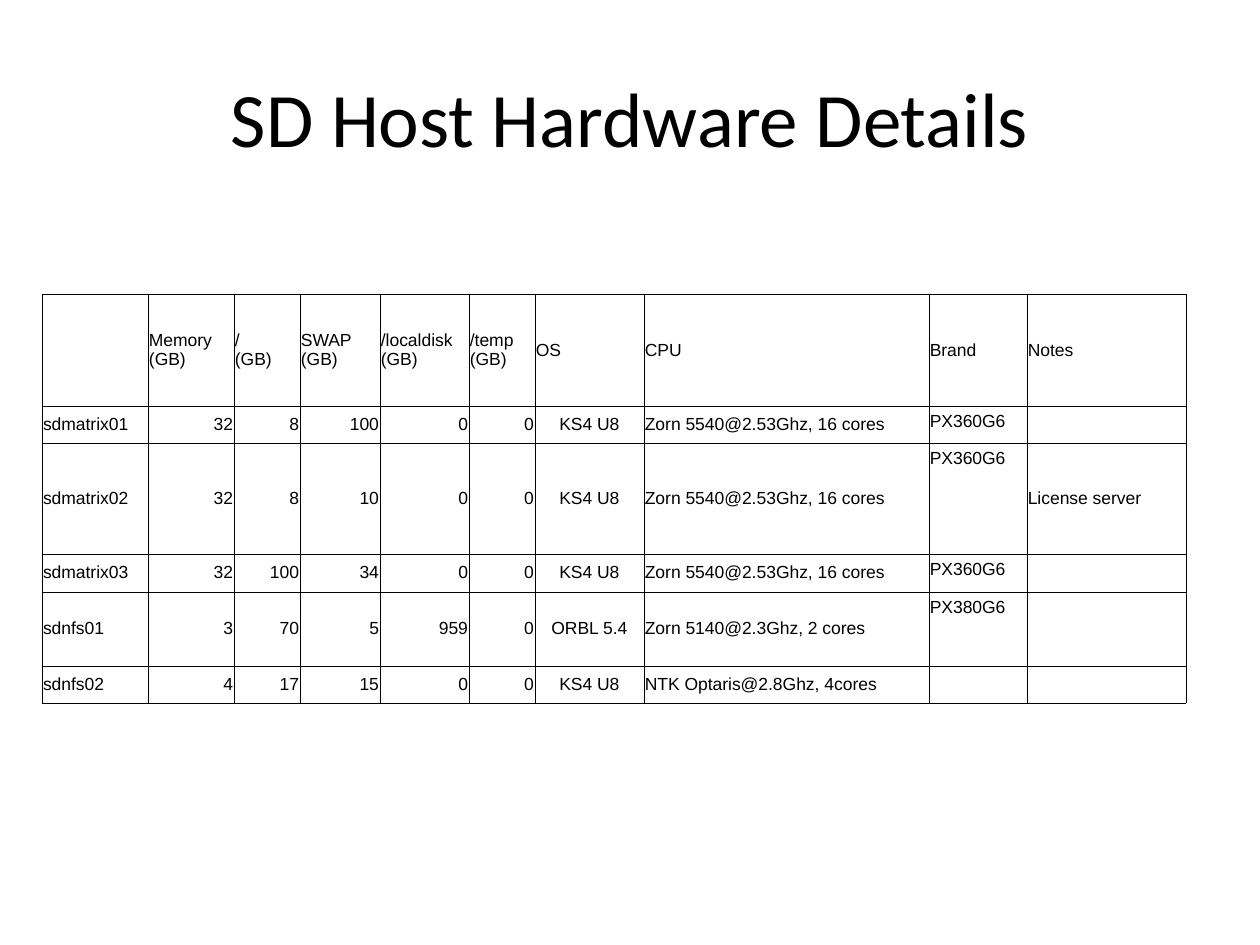
from dataclasses import dataclass
from typing import Any

from lxml.etree import SubElement
from pptx import Presentation
from pptx.dml.color import RGBColor
from pptx.enum.text import MSO_ANCHOR as Anchor, PP_ALIGN as Align
from pptx.oxml.ns import qn
from pptx.util import Emu, Pt

EMU_PER_PX = 914400 // 126
BLACK = "000000"
BORDER_WIDTH = Pt(0.23)


@dataclass(frozen=True)
class Column:
    heading: str
    width: int
    align: Align = Align.LEFT
    anchor: Anchor = Anchor.MIDDLE


@dataclass(frozen=True)
class Host:
    height: int
    values: tuple[str, ...]


COLUMNS = (
    Column("", 106),
    Column("Memory\n(GB)", 86, Align.RIGHT),
    Column("/\n(GB)", 66, Align.RIGHT),
    Column("SWAP\n(GB)", 80, Align.RIGHT),
    Column("/localdisk\n(GB)", 89, Align.RIGHT),
    Column("/temp\n(GB)", 66, Align.RIGHT),
    Column("OS", 109, Align.CENTER),
    Column("CPU", 285),
    Column("Brand", 98, anchor=Anchor.TOP),
    Column("Notes", 159),
)
HEADER_HEIGHT = 112
FAST_CPU = "Zorn 5540@2.53Ghz, 16 cores"
HOSTS = (
    Host(37, ("sdmatrix01", "32", "8", "100", "0", "0", "KS4 U8", FAST_CPU, "PX360G6", "")),
    Host(111, ("sdmatrix02", "32", "8", "10", "0", "0", "KS4 U8", FAST_CPU, "PX360G6",
               "License server")),
    Host(38, ("sdmatrix03", "32", "100", "34", "0", "0", "KS4 U8", FAST_CPU, "PX360G6", "")),
    Host(74, ("sdnfs01", "3", "70", "5", "959", "0", "ORBL 5.4",
              "Zorn 5140@2.3Ghz, 2 cores", "PX380G6", "")),
    Host(37, ("sdnfs02", "4", "17", "15", "0", "0", "KS4 U8",
              "NTK Optaris@2.8Ghz, 4cores", "", "")),
)


def px(length: int) -> Emu:
    return Emu(length * EMU_PER_PX)


def color(value: str) -> RGBColor:
    return RGBColor.from_string(value)


def apply(target: Any, formats: dict[str, Any]) -> None:
    for name, value in formats.items():
        setattr(target, name, value)


def write(paragraph: Any, text: str, font: str, size: int, align: Align) -> None:
    paragraph.text = text
    paragraph.alignment = align
    for run in paragraph.runs:
        apply(run.font, {"name": font, "size": Pt(size)})
        run.font.color.rgb = color(BLACK)
    if not text:
        SubElement(paragraph._p, qn("a:endParaRPr"), sz=str(size * 100))


def draw_borders(cell: Any) -> None:
    properties = cell._tc.get_or_add_tcPr()
    for side in ("L", "R", "T", "B"):
        line = SubElement(properties, qn(f"a:ln{side}"), w=str(BORDER_WIDTH))
        fill = SubElement(line, qn("a:solidFill"))
        SubElement(fill, qn("a:srgbClr"), val=BLACK)


def draw_cell(cell: Any, text: str, align: Align, anchor: Anchor) -> None:
    draw_borders(cell)
    cell.fill.background()
    apply(cell, {
        "margin_left": px(1), "margin_right": px(1),
        "margin_top": px(6), "margin_bottom": px(6),
        "vertical_anchor": anchor,
    })
    write(cell.text_frame.paragraphs[0], text, "Arial", 10, align)


def draw_title(slide: Any, text: str) -> None:
    shape = slide.shapes.add_textbox(px(63), px(38), px(1134), px(157))
    apply(shape.text_frame, {"word_wrap": True, "vertical_anchor": Anchor.MIDDLE})
    write(shape.text_frame.paragraphs[0], text, "Calibri", 44, Align.CENTER)


def draw_hosts(slide: Any, left: int, top: int) -> None:
    heights = [HEADER_HEIGHT, *(host.height for host in HOSTS)]
    width = sum(column.width for column in COLUMNS)
    table = slide.shapes.add_table(
        len(heights), len(COLUMNS), px(left), px(top), px(width), px(sum(heights))
    ).table
    apply(table, {"first_row": False, "horz_banding": False})
    for row, height in zip(table.rows, heights):
        row.height = px(height)
    for index, column in enumerate(COLUMNS):
        table.columns[index].width = px(column.width)
        draw_cell(table.cell(0, index), column.heading, Align.LEFT, Anchor.MIDDLE)
        for row_index, host in enumerate(HOSTS, start=1):
            draw_cell(table.cell(row_index, index), host.values[index],
                      column.align, column.anchor)


def main() -> None:
    presentation = Presentation()
    apply(presentation, {"slide_width": px(1260), "slide_height": px(945)})
    slide = presentation.slides.add_slide(presentation.slide_layouts[6])
    draw_title(slide, "SD Host Hardware Details")
    draw_hosts(slide, 42, 294)
    presentation.save("out.pptx")


if __name__ == "__main__":
    main()
